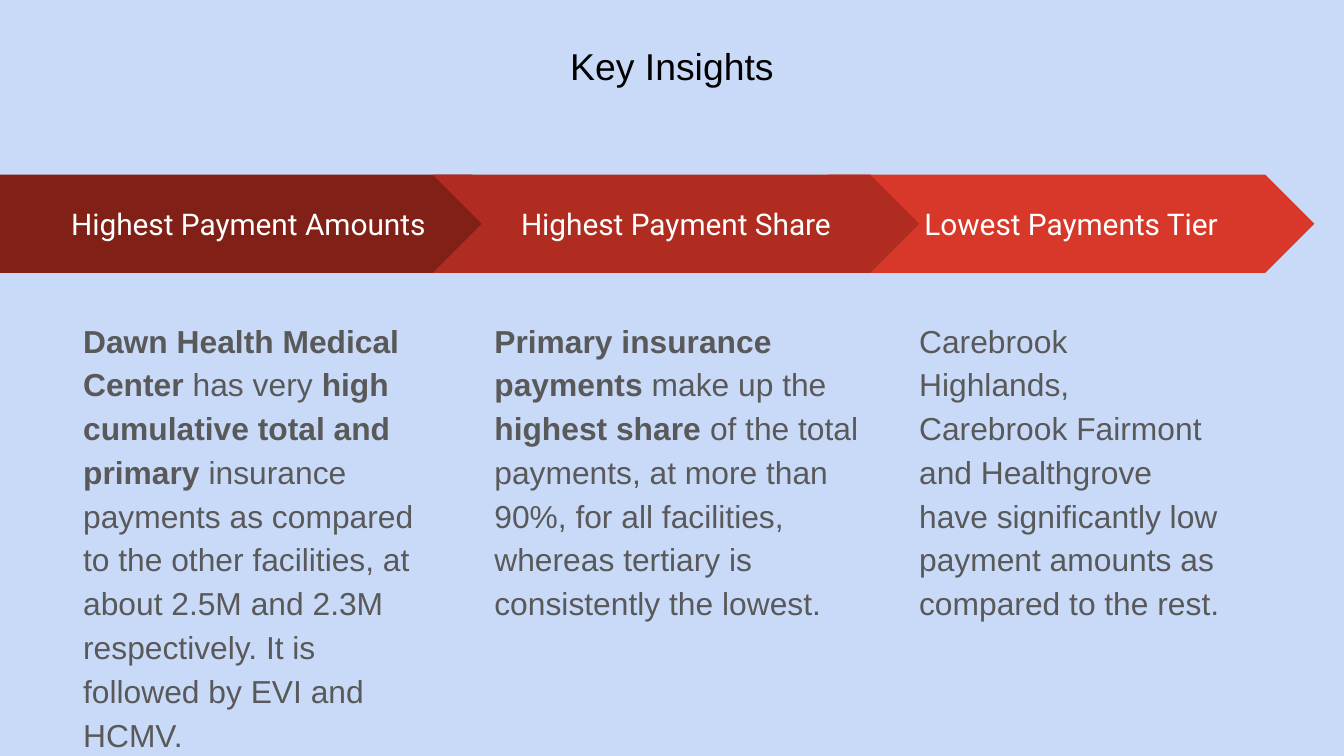
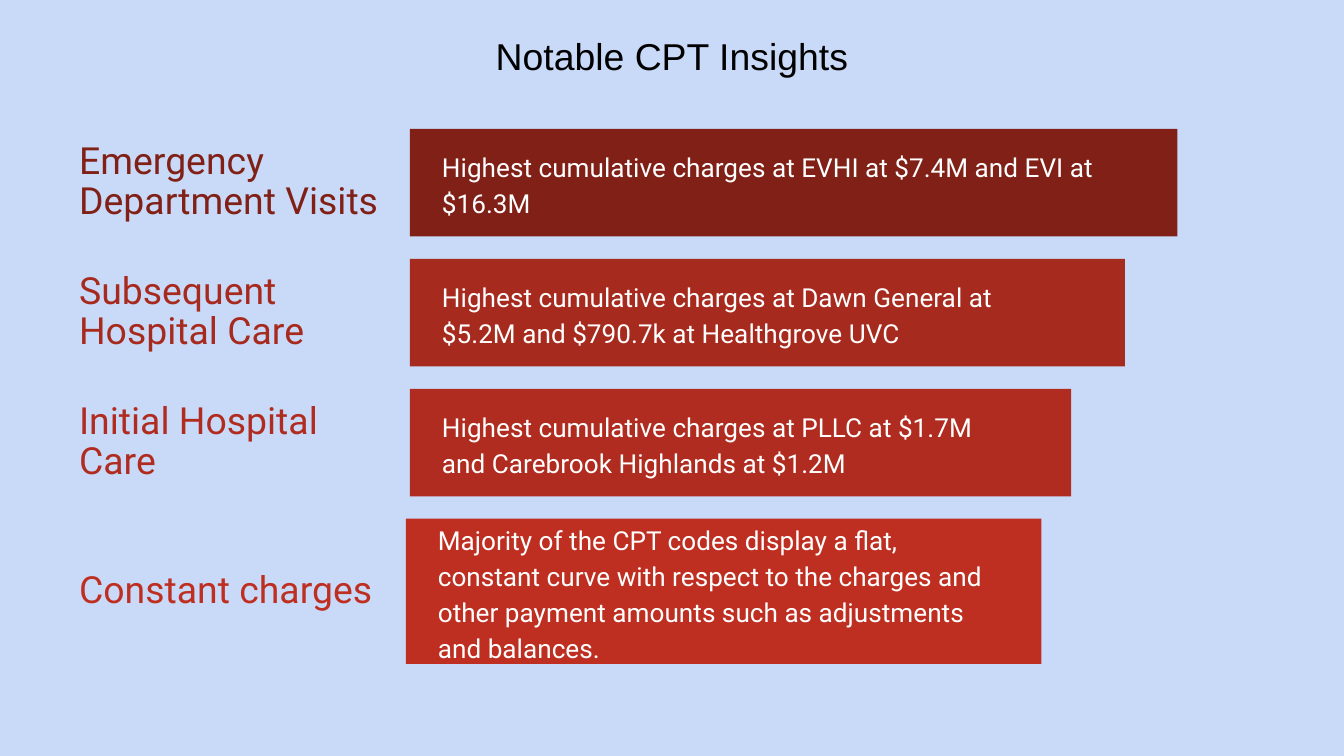
from dataclasses import dataclass

from pptx import Presentation
from pptx.dml.color import RGBColor
from pptx.enum.shapes import MSO_SHAPE as Preset
from pptx.enum.text import MSO_ANCHOR as Anchor, MSO_AUTO_SIZE as AutoSize, PP_ALIGN as Align
from pptx.util import Inches, Pt


@dataclass(frozen=True)
class Theme:
    background: str = "C9DAF8"
    title: str = "000000"
    body: str = "595959"
    light: str = "FFFFFF"
    maroon: str = "802017"
    brick: str = "A72A1E"
    crimson: str = "B02C20"
    red: str = "BE2F22"
    bright: str = "D83829"
    title_font: str = "Arial"
    accent_font: str = "Roboto"
    title_size: int = 20
    body_size: int = 17
    arrow_size: int = 16
    label_size: int = 20
    detail_size: int = 14


THEME = Theme()

# Content: runs are (text, bold); boxes are left, top, width, height
INSIGHTS_TITLE = ("Key Insights", (0.34, 0.22, 9.32, 0.48))
INSIGHTS = [
    dict(heading="Lowest Payments Tier", color=THEME.bright, preset=Preset.CHEVRON,
         arrow=(6.16, 3.62), column=(6.74, 2.45),
         runs=[("Carebrook Highlands, Carebrook Fairmont and Healthgrove have "
                "significantly low payment amounts as compared to the rest.", False)]),
    dict(heading="Highest Payment Amounts", color=THEME.maroon, preset=Preset.PENTAGON,
         arrow=(0, 3.88), column=(0.52, 2.85),
         runs=[("Dawn Health Medical Center", True), (" has very ", False),
               ("high cumulative total and primary", True),
               (" insurance payments as compared to the other facilities, at about "
                "2.5M and 2.3M respectively. It is followed by EVI and HCMV.", False)]),
    dict(heading="Highest Payment Share", color=THEME.crimson, preset=Preset.CHEVRON,
         arrow=(3.22, 3.62), column=(3.58, 2.91),
         runs=[("Primary insurance payments", True), (" make up the ", False),
               ("highest share", True),
               (" of the total payments, at more than 90%, for all facilities, "
                "whereas tertiary is consistently the lowest.", False)]),
]

CODES_TITLE = ("Notable CPT Insights", (0.34, 0.15, 9.32, 0.63))
# label, detail, color, bar left, bar width, bar height, detail width
CODES = [
    ("Emergency Department Visits",
     "Highest cumulative charges at EVHI at $7.4M and EVI at $16.3M",
     THEME.maroon, 3.05, 5.71, 0.8, 5.21),
    ("Subsequent Hospital Care",
     "Highest cumulative charges at Dawn General at $5.2M and $790.7k at Healthgrove UVC",
     THEME.brick, 3.05, 5.32, 0.8, 4.78),
    ("Initial Hospital Care",
     "Highest cumulative charges at PLLC at $1.7M and Carebrook Highlands at $1.2M",
     THEME.crimson, 3.05, 4.92, 0.8, 4.21),
    ("Constant charges",
     "Majority of the CPT codes display a flat, constant curve with respect to the "
     "charges and other payment amounts such as adjustments and balances.",
     THEME.red, 3.02, 4.73, 1.08, 4.4),
]

# Layout
SLIDE_WIDTH = 10
SLIDE_HEIGHT = SLIDE_WIDTH * 9 / 16
ARROW_TOP, ARROW_HEIGHT = 1.3, 0.73
COLUMN_TOP, COLUMN_HEIGHT = 2.25, 3.04
FIRST_BAR_TOP, LAST_BAR_TOP = 0.96, 3.86
LABEL_LEFT, LABEL_WIDTH = 0.49, 2.48
DETAIL_INDENT = 0.14


def write_text(shape, text, *, size, color, font, align=Align.LEFT,
               anchor=Anchor.TOP, spacing=1.0, margin=0.1):
    """Fill a shape with one paragraph; text is a string or (text, bold) runs."""
    frame = shape.text_frame
    frame.word_wrap = True
    frame.auto_size = AutoSize.NONE
    frame.vertical_anchor = anchor
    frame.margin_left = frame.margin_right = Inches(0.1)
    frame.margin_top = frame.margin_bottom = Inches(margin)
    paragraph = frame.paragraphs[0]
    paragraph.alignment = align
    paragraph.line_spacing = spacing
    for words, bold in [(text, False)] if isinstance(text, str) else text:
        run = paragraph.add_run()
        run.text = words
        run.font.size = Pt(size)
        run.font.name = font
        run.font.bold = bold
        run.font.color.rgb = RGBColor.from_string(color)


def add_text(shapes, box, text, **style):
    write_text(shapes.add_textbox(*map(Inches, box)), text, **style)


def add_block(shapes, preset, box, color):
    shape = shapes.add_shape(preset, *map(Inches, box))
    shape.shadow.inherit = False
    shape.fill.solid()
    shape.fill.fore_color.rgb = RGBColor.from_string(color)
    shape.line.fill.background()
    return shape


def add_slide(presentation, title, box):
    slide = presentation.slides.add_slide(presentation.slide_layouts[5])
    slide.background.fill.solid()
    slide.background.fill.fore_color.rgb = RGBColor.from_string(THEME.background)
    shape = slide.shapes.title
    shape.left, shape.top, shape.width, shape.height = map(Inches, box)
    write_text(shape, title, size=THEME.title_size, color=THEME.title,
               font=THEME.title_font, align=Align.CENTER)
    return slide


def build_insights(presentation):
    slide = add_slide(presentation, *INSIGHTS_TITLE)
    for insight in INSIGHTS:
        shapes = slide.shapes.add_group_shape().shapes
        left, width = insight["arrow"]
        arrow = add_block(shapes, insight["preset"],
                          (left, ARROW_TOP, width, ARROW_HEIGHT), insight["color"])
        write_text(arrow, insight["heading"], size=THEME.arrow_size, color=THEME.light,
                   font=THEME.accent_font, align=Align.CENTER, anchor=Anchor.MIDDLE)
        left, width = insight["column"]
        add_text(shapes, (left, COLUMN_TOP, width, COLUMN_HEIGHT), insight["runs"],
                 size=THEME.body_size, color=THEME.body, font=THEME.title_font,
                 spacing=1.15)


def build_codes(presentation):
    slide = add_slide(presentation, *CODES_TITLE)
    pitch = (LAST_BAR_TOP - FIRST_BAR_TOP) / (len(CODES) - 1)
    row_style = dict(font=THEME.accent_font, anchor=Anchor.MIDDLE, margin=0.05)
    for index, (label, detail, color, left, width, height, detail_width) in enumerate(CODES):
        shapes = slide.shapes.add_group_shape().shapes
        top = FIRST_BAR_TOP + index * pitch
        add_text(shapes, (LABEL_LEFT, top, LABEL_WIDTH, height), label,
                 size=THEME.label_size, color=color, spacing=0.9, **row_style)
        add_block(shapes, Preset.RECTANGLE, (left, top, width, height), color)
        add_text(shapes, (left + DETAIL_INDENT, top, detail_width, height), detail,
                 size=THEME.detail_size, color=THEME.light, spacing=1.15, **row_style)


def main():
    presentation = Presentation()
    presentation.slide_width = Inches(SLIDE_WIDTH)
    presentation.slide_height = Inches(SLIDE_HEIGHT)
    build_insights(presentation)
    build_codes(presentation)
    presentation.save("out.pptx")


if __name__ == "__main__":
    main()
